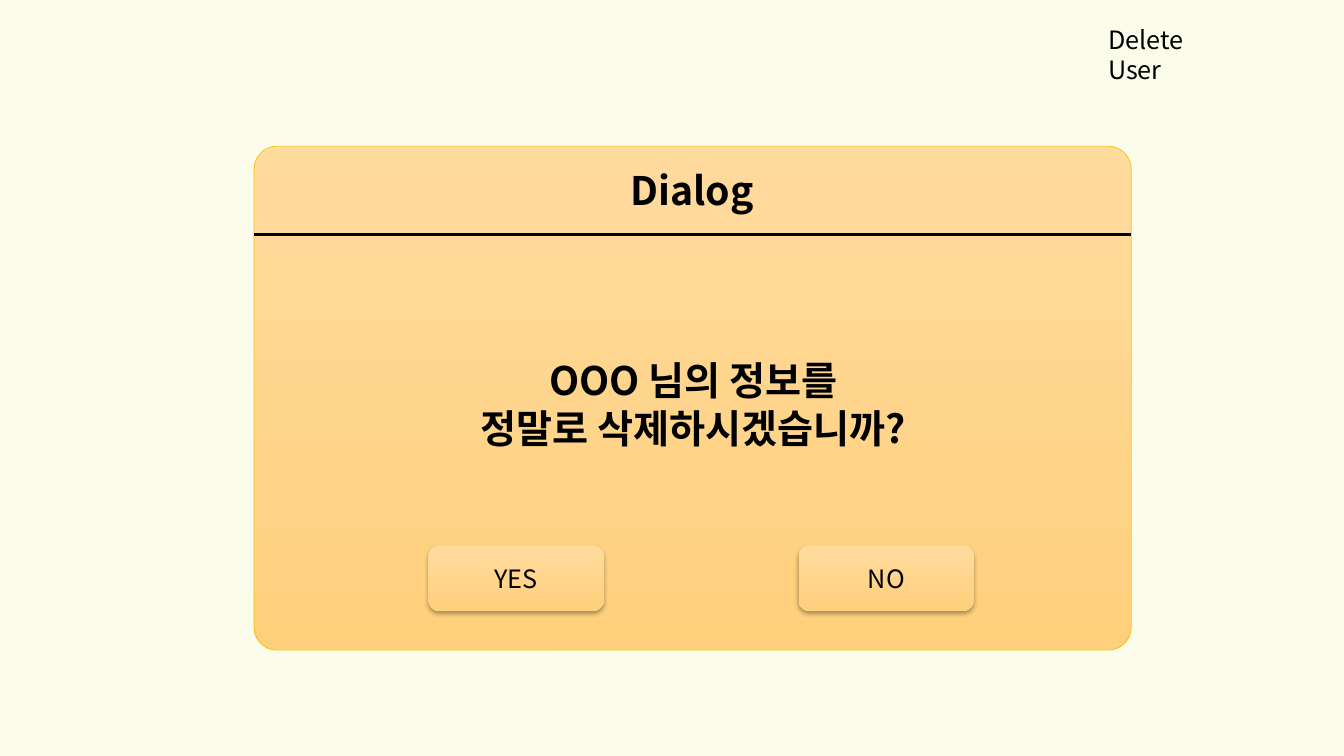
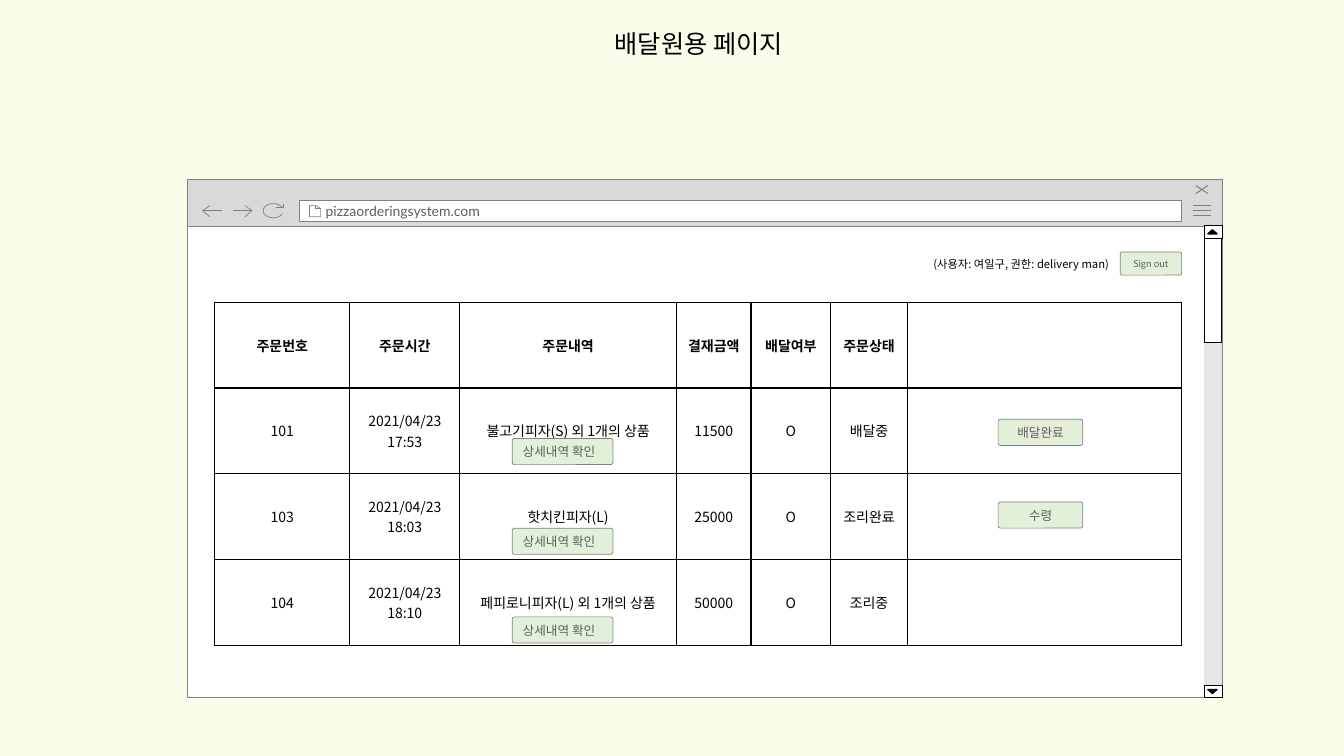
"""Builds a delete dialog slide and a delivery page slide."""
from math import cos, radians, sin

from lxml.etree import SubElement
from pptx import Presentation
from pptx.dml.color import RGBColor
from pptx.enum.shapes import MSO_CONNECTOR, MSO_SHAPE
from pptx.enum.text import MSO_ANCHOR, MSO_AUTO_SIZE, PP_ALIGN
from pptx.oxml import parse_xml
from pptx.oxml.ns import nsdecls, qn
from pptx.util import Inches, Pt

CREAM = RGBColor(0xFB, 0xFD, 0xEA)
BLACK = RGBColor(0, 0, 0)
WHITE = RGBColor(0xFF, 0xFF, 0xFF)
GRAY = RGBColor(0x80, 0x80, 0x80)
BAR_GRAY = RGBColor(0xD9, 0xD9, 0xD9)
TRACK_GRAY = RGBColor(0xE7, 0xE6, 0xE6)
TEXT_GRAY = RGBColor(0x5F, 0x5F, 0x5F)
GREEN = RGBColor(0xE2, 0xF0, 0xD9)
GOLD = RGBColor(0xFF, 0xC0, 0x00)
ORANGE_GRADIENT = (RGBColor(0xFF, 0xDB, 0x9E), RGBColor(0xFF, 0xD0, 0x7C))
KOREAN_FONT = "Noto Sans CJK KR"
LATIN_FONT = "Lato"

DIALOG_TEXTS = [
    ((3.82, 1.6, 6.09, 0.57), ["Dialog"]),
    ((3.28, 3.49, 7.19, 1.04), ["OOO 님의 정보를", "정말로 삭제하시겠습니까?"]),
]
DIALOG_BUTTONS = [("YES", 4.25), ("NO", 7.92)]

COLUMN_WIDTHS = [1.34, 1.09, 2.15, 0.74, 0.79, 0.76, 2.72]
ROW_HEIGHT = 0.85
ORDERS = [
    ["주문번호", "주문시간", "주문내역", "결재금액", "배달여부", "주문상태", ""],
    ["101", "2021/04/23 17:53", "불고기피자(S) 외 1개의 상품", "11500", "O", "배달중", ""],
    ["103", "2021/04/23 18:03", "핫치킨피자(L)", "25000", "O", "조리완료", ""],
    ["104", "2021/04/23 18:10", "페피로니피자(L) 외 1개의 상품", "50000", "O", "조리중", ""],
]
DETAIL_TOPS = [4.35, 5.24, 6.12]
PAGE_BUTTONS = [
    ("Sign out", (11.11, 2.5, 0.61, 0.23), 7),
    ("배달완료", (9.9, 4.16, 0.84, 0.26), 9),
    ("수령", (9.9, 4.98, 0.84, 0.26), 9),
]

RELOAD_ARC = [(2.71 + 0.1 * cos(radians(angle)), 2.09 + 0.07 * sin(radians(angle)))
              for angle in range(25, 336, 10)]
BROWSER_ICONS = [
    ([[(11.83, y), (12.01, y)] for y in (2.04, 2.09, 2.14)], 0.5),
    ([[(11.98, 1.84), (11.86, 1.92)], [(11.86, 1.84), (11.98, 1.92)]], 0.75),
    ([[(3.13, 2.04), (3.13, 2.07), (3.18, 2.07)],
      [(3.07, 2.04), (3.07, 2.15), (3.18, 2.15), (3.18, 2.07), (3.14, 2.04), (3.07, 2.04)]], 0.5),
    ([[(2.08, 2.15), (2.01, 2.09), (2.08, 2.04)], [(2.02, 2.09), (2.2, 2.09)]], 0.5),
    ([[(2.43, 2.04), (2.5, 2.09), (2.43, 2.15)], [(2.49, 2.09), (2.31, 2.09)]], 0.5),
    ([[(2.81, 2.02), (2.81, 2.06), (2.74, 2.06)], RELOAD_ARC], 0.5),
]


def inches(values):
    return [Inches(value) for value in values]


def write(frame, lines, size=18, font=KOREAN_FONT, color=BLACK, bold=False,
          align=PP_ALIGN.CENTER, anchor=MSO_ANCHOR.TOP, wrap=True):
    frame.auto_size = MSO_AUTO_SIZE.NONE
    frame.word_wrap = wrap
    frame.vertical_anchor = anchor
    for index, line in enumerate(lines):
        paragraph = frame.add_paragraph() if index else frame.paragraphs[0]
        paragraph.alignment = align
        style_run(paragraph.add_run(), line, size, font, color, bold)


def style_run(run, text, size, font, color, bold):
    run.text = text
    run.font.size = Pt(size)
    run.font.name = font
    run.font.bold = bold
    run.font.color.rgb = color
    SubElement(run.font._element, qn("a:ea"), typeface=KOREAN_FONT)


def add_box(shapes, box, fill, line=None, width=0.5, kind=MSO_SHAPE.RECTANGLE, radius=None):
    shape = shapes.add_shape(kind, *inches(box))
    shape.shadow.inherit = False
    if isinstance(fill, RGBColor):
        shape.fill.solid()
        shape.fill.fore_color.rgb = fill
    else:
        shape.fill.gradient()
        shape.fill.gradient_angle = 270
        for stop, color in zip(shape.fill.gradient_stops, fill):
            stop.color.rgb = color
    if line is None:
        shape.line.fill.background()
    else:
        shape.line.color.rgb = line
        shape.line.width = Pt(width)
    if radius is not None:
        shape.adjustments[0] = radius
    return shape


def add_icon(shapes, strokes, width):
    points = [[tuple(inches(point)) for point in stroke] for stroke in strokes]
    builder = shapes.build_freeform(*points[0][0])
    for index, stroke in enumerate(points):
        if index:
            builder.move_to(*stroke[0])
        builder.add_line_segments(stroke[1:], close=False)
    icon = builder.convert_to_shape()
    icon.shadow.inherit = False
    icon.fill.background()
    icon.line.color.rgb = GRAY
    icon.line.width = Pt(width)


def add_text(slide, box, lines, **text_format):
    write(slide.shapes.add_textbox(*inches(box)).text_frame, lines, **text_format)


def add_slide(presentation, title, box, **text_format):
    slide = presentation.slides.add_slide(presentation.slide_layouts[5])
    placeholder = slide.shapes.title
    placeholder.left, placeholder.top, placeholder.width, placeholder.height = inches(box)
    write(placeholder.text_frame, [title], **text_format)
    return slide


def add_shadow(shape):
    effects = shape._element.spPr.find(qn("a:effectLst"))
    effects.append(parse_xml(
        f'<a:outerShdw {nsdecls("a")} blurRad="{Pt(3.5)}" dist="{Pt(2.2)}" dir="5400000" '
        'algn="ctr" rotWithShape="0"><a:srgbClr val="000000"><a:alpha val="32000"/>'
        '</a:srgbClr></a:outerShdw>'))


def add_dialog(slide):
    left, top, width, height = 2.52, 1.45, 8.7, 5
    rounded = MSO_SHAPE.ROUNDED_RECTANGLE
    add_box(slide.shapes, (left, top, width, height), ORANGE_GRADIENT, GOLD,
            kind=rounded, radius=0.046)
    divider = slide.shapes.add_connector(
        MSO_CONNECTOR.STRAIGHT, *inches((left, 2.33, left + width, 2.33)))
    divider.line.color.rgb = BLACK
    divider.line.width = Pt(2)
    SubElement(divider._element.spPr, qn("a:effectLst"))
    for box, lines in DIALOG_TEXTS:
        add_text(slide, box, lines, size=28, bold=True)
    for label, button_left in DIALOG_BUTTONS:
        button = add_box(slide.shapes, (button_left, 5.41, 1.74, 0.65), ORANGE_GRADIENT,
                         kind=rounded)
        add_shadow(button)
        write(button.text_frame, [label], anchor=MSO_ANCHOR.MIDDLE)


def add_browser(slide):
    shapes = slide.shapes.add_group_shape().shapes
    add_box(shapes, (1.86, 2.24, 10.26, 4.68), WHITE, GRAY)
    add_box(shapes, (1.86, 1.78, 10.26, 0.47), BAR_GRAY, GRAY)
    address = add_box(shapes, (2.97, 1.99, 8.75, 0.21), WHITE, GRAY)
    address.text_frame.margin_left = Inches(0.26)
    write(address.text_frame, ["pizzaorderingsystem.com"], size=10, font=LATIN_FONT,
          color=TEXT_GRAY, align=PP_ALIGN.LEFT, anchor=MSO_ANCHOR.MIDDLE)
    for strokes, width in BROWSER_ICONS:
        add_icon(shapes, strokes, width)
    add_box(shapes, (11.94, 2.24, 0.18, 4.68), TRACK_GRAY)
    for top, rotation in ((2.24, 0), (6.8, 180)):
        add_box(shapes, (11.94, top, 0.18, 0.12), WHITE, BLACK)
        arrow = add_box(shapes, (11.98, top + 0.04, 0.09, 0.04), BLACK, BLACK, width=1,
                        kind=MSO_SHAPE.ISOSCELES_TRIANGLE)
        arrow.rotation = rotation
    add_box(shapes, (11.95, 2.37, 0.17, 1.03), WHITE, BLACK, width=0.75)


def add_cell_borders(cell):
    properties = cell._tc.get_or_add_tcPr()
    for side in ("lnL", "lnR", "lnT", "lnB"):
        border = SubElement(properties, qn(f"a:{side}"), w=str(Pt(1)))
        SubElement(SubElement(border, qn("a:solidFill")), qn("a:srgbClr"), val=str(BLACK))


def add_orders(slide):
    box = (2.13, 3, sum(COLUMN_WIDTHS), ROW_HEIGHT * len(ORDERS))
    table = slide.shapes.add_table(len(ORDERS), len(COLUMN_WIDTHS), *inches(box)).table
    table.first_row = table.horz_banding = False
    for column, width in zip(table.columns, COLUMN_WIDTHS):
        column.width = Inches(width)
    for row_index, order in enumerate(ORDERS):
        table.rows[row_index].height = Inches(ROW_HEIGHT)
        for column_index, value in enumerate(order):
            cell = table.cell(row_index, column_index)
            add_cell_borders(cell)
            cell.fill.background()
            cell.vertical_anchor = MSO_ANCHOR.MIDDLE
            if value:
                paragraph = cell.text_frame.paragraphs[0]
                paragraph.alignment = PP_ALIGN.CENTER
                style_run(paragraph.add_run(), value, 10, KOREAN_FONT, BLACK, row_index == 0)


def add_page_button(slide, label, box, size, **text_format):
    button = add_box(slide.shapes, box, GREEN, GRAY, kind=MSO_SHAPE.ROUNDED_RECTANGLE,
                     radius=0.088)
    write(button.text_frame, [label], size=size, font=LATIN_FONT, color=TEXT_GRAY,
          anchor=MSO_ANCHOR.MIDDLE, **text_format)


def main():
    presentation = Presentation()
    presentation.slide_width, presentation.slide_height = inches((13.33, 7.5))
    background = presentation.slide_master.background.fill
    background.solid()
    background.fore_color.rgb = CREAM

    dialog_slide = add_slide(presentation, "Delete User", (10.89, 0.19, 1.53, 0.4),
                             align=PP_ALIGN.LEFT, wrap=False)
    add_dialog(dialog_slide)

    delivery_slide = add_slide(presentation, "배달원용 페이지", (3.89, 0.23, 6.08, 0.4))
    add_browser(delivery_slide)
    add_orders(delivery_slide)
    add_text(delivery_slide, (9.16, 2.5, 2.03, 0.24), ["(사용자: 여일구, 권한: delivery man)"],
             size=8, align=PP_ALIGN.LEFT)
    for label, box, size in PAGE_BUTTONS:
        add_page_button(delivery_slide, label, box, size)
    for top in DETAIL_TOPS:
        add_page_button(delivery_slide, "상세내역 확인", (5.08, top, 1, 0.26), 9,
                        align=PP_ALIGN.LEFT, wrap=False)
    presentation.save("out.pptx")


if __name__ == "__main__":
    main()
